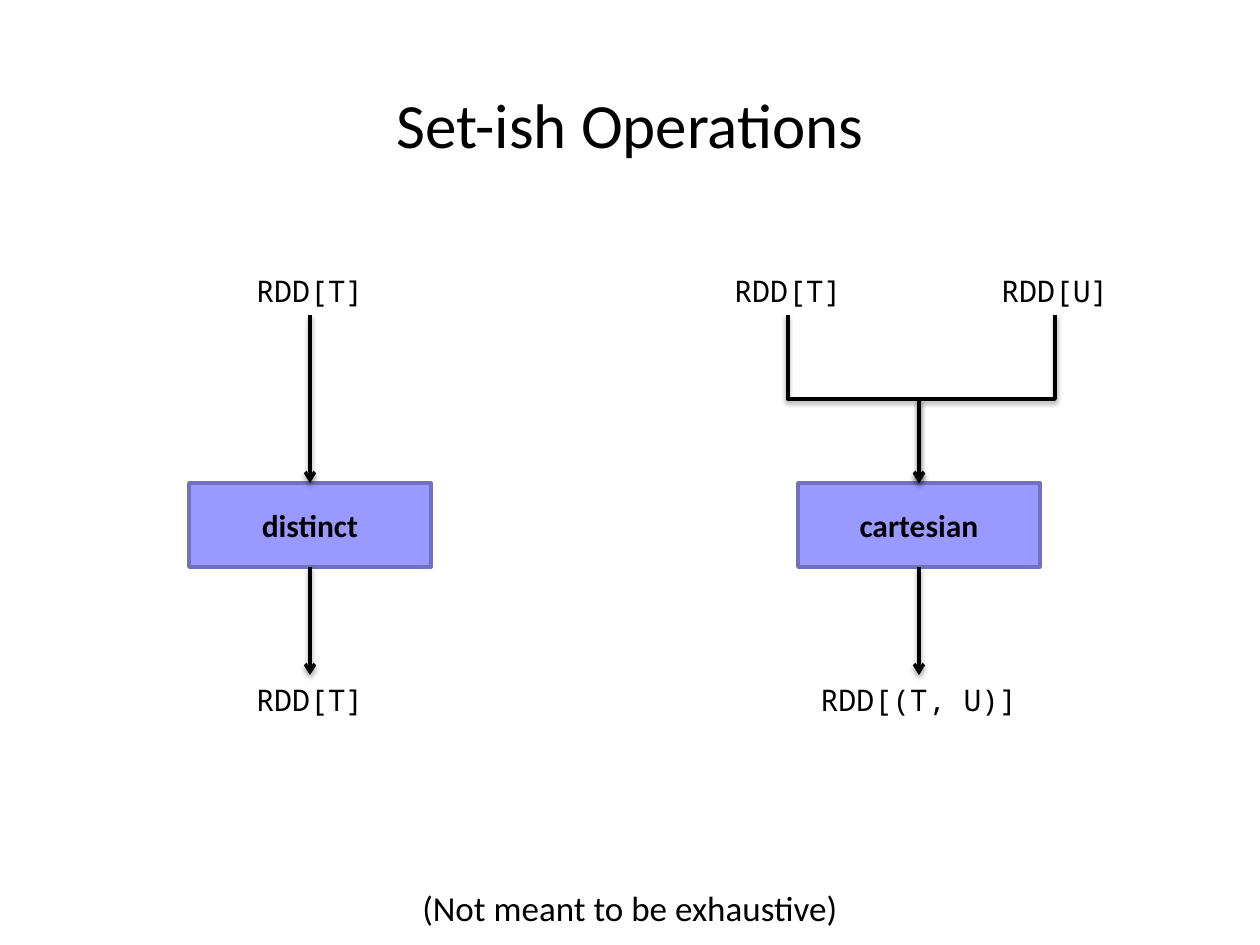
from dataclasses import dataclass

from lxml import etree
from pptx import Presentation
from pptx import util as u
from pptx.dml.color import RGBColor
from pptx.enum import shapes, text
from pptx.oxml import ns

TITLE = "Set-ish Operations"
FOOTNOTE = "(Not meant to be exhaustive)"
OPERATIONS = [
    {"name": "distinct", "center": 310,
     "inputs": [("RDD[T]", 310, 231)], "output": ("RDD[T]", 514)},
    {"name": "cartesian", "center": 919,
     "inputs": [("RDD[T]", 788, 231), ("RDD[U]", 1055, 283)],
     "output": ("RDD[(T, U)]", 640)},
]

SLIDE_WIDTH, SLIDE_HEIGHT = 1260, 945
TITLE_TOP, TITLE_HEIGHT = 76, 94
FOOTNOTE_TOP, FOOTNOTE_HEIGHT = 879, 56
INPUT_TOP, OUTPUT_TOP, LABEL_HEIGHT = 266, 675, 49
BOX_TOP, BOX_WIDTH, BOX_HEIGHT = 483, 242, 84


@dataclass(frozen=True)
class Theme:
    ink: str = "000000"
    box_fill: str = "9999FF"
    box_line: str = "7171BD"
    sans: str = "Calibri"
    mono: str = "Noto Sans Mono"
    title_size: int = 36
    footnote_size: int = 20
    box_size: int = 18
    label_size: int = 17
    line_width: int = 2


THEME = Theme()


def px(value):
    return u.Emu(round(value * 914400 / 126))


def write(shape, words, size, font_name, bold=False):
    frame = shape.text_frame
    frame.text = words
    frame.word_wrap = True
    frame.vertical_anchor = text.MSO_ANCHOR.MIDDLE
    paragraph = frame.paragraphs[0]
    paragraph.alignment = text.PP_ALIGN.CENTER
    font = paragraph.runs[0].font
    font.name, font.size, font.bold = font_name, u.Pt(size), bold
    font.color.rgb = RGBColor.from_string(THEME.ink)


def add_label(slide, words, center, top, width):
    label = slide.shapes.add_textbox(
        px(center - width / 2), px(top), px(width), px(LABEL_HEIGHT))
    write(label, words, THEME.label_size, THEME.mono)
    return label


def add_box(slide, name, center):
    box = slide.shapes.add_shape(
        shapes.MSO_SHAPE.RECTANGLE, px(center - BOX_WIDTH / 2), px(BOX_TOP),
        px(BOX_WIDTH), px(BOX_HEIGHT))
    box.shadow.inherit = False
    box.fill.solid()
    box.fill.fore_color.rgb = RGBColor.from_string(THEME.box_fill)
    box.line.color.rgb = RGBColor.from_string(THEME.box_line)
    box.line.width = u.Pt(THEME.line_width)
    write(box, name, THEME.box_size, THEME.sans, bold=True)
    return box


def style_arrow(connector):
    connector.line.color.rgb = RGBColor.from_string(THEME.ink)
    connector.line.width = u.Pt(THEME.line_width)
    line = connector.line._get_or_add_ln()
    etree.SubElement(line, ns.qn("a:tailEnd"), type="arrow")
    properties = connector._element.spPr
    effects = etree.SubElement(properties, ns.qn("a:effectLst"))
    shadow = etree.SubElement(
        effects, ns.qn("a:outerShdw"), blurRad=str(u.Pt(3.1)),
        dist=str(u.Pt(1.6)), dir="5400000", rotWithShape="0")
    color = etree.SubElement(shadow, ns.qn("a:srgbClr"), val=THEME.ink)
    etree.SubElement(color, ns.qn("a:alpha"), val="38000")


def add_straight_arrow(slide, source, target):
    connector = slide.shapes.add_connector(
        shapes.MSO_CONNECTOR.STRAIGHT, 0, 0, 0, 0)
    connector.begin_connect(source, 2)
    connector.end_connect(target, 0)
    style_arrow(connector)


def add_bent_arrow(slide, start, end):
    (x1, y1), (x2, y2) = start, end
    middle_x, middle_y = (x1 + x2) / 2, (y1 + y2) / 2
    half_run, half_drop = abs(x2 - x1) / 2, (y2 - y1) / 2
    connector = slide.shapes.add_connector(
        shapes.MSO_CONNECTOR.ELBOW,
        px(middle_x - half_drop), px(middle_y - half_run),
        px(middle_x + half_drop), px(middle_y + half_run))
    transform = connector._element.spPr.find(ns.qn("a:xfrm"))
    if x1 < x2:
        transform.set("rot", "16200000")
        transform.set("flipH", "1")
    else:
        transform.set("rot", "5400000")
    style_arrow(connector)


def add_operation(slide, operation):
    center = operation["center"]
    box = add_box(slide, operation["name"], center)
    words, width = operation["output"]
    output = add_label(slide, words, center, OUTPUT_TOP, width)
    add_straight_arrow(slide, box, output)
    for words, x, width in operation["inputs"]:
        label = add_label(slide, words, x, INPUT_TOP, width)
        if x == center:
            add_straight_arrow(slide, label, box)
        else:
            add_bent_arrow(slide, (x, INPUT_TOP + LABEL_HEIGHT), (center, BOX_TOP))


def main():
    presentation = Presentation()
    presentation.slide_width = px(SLIDE_WIDTH)
    presentation.slide_height = px(SLIDE_HEIGHT)
    slide = presentation.slides.add_slide(presentation.slide_layouts[5])

    title = slide.shapes.title
    title.left, title.top = px(0), px(TITLE_TOP)
    title.width, title.height = px(SLIDE_WIDTH), px(TITLE_HEIGHT)
    write(title, TITLE, THEME.title_size, THEME.sans)

    for operation in OPERATIONS:
        add_operation(slide, operation)

    footnote = slide.shapes.add_textbox(
        px(0), px(FOOTNOTE_TOP), px(SLIDE_WIDTH), px(FOOTNOTE_HEIGHT))
    write(footnote, FOOTNOTE, THEME.footnote_size, THEME.sans)

    presentation.save("out.pptx")


if __name__ == "__main__":
    main()
